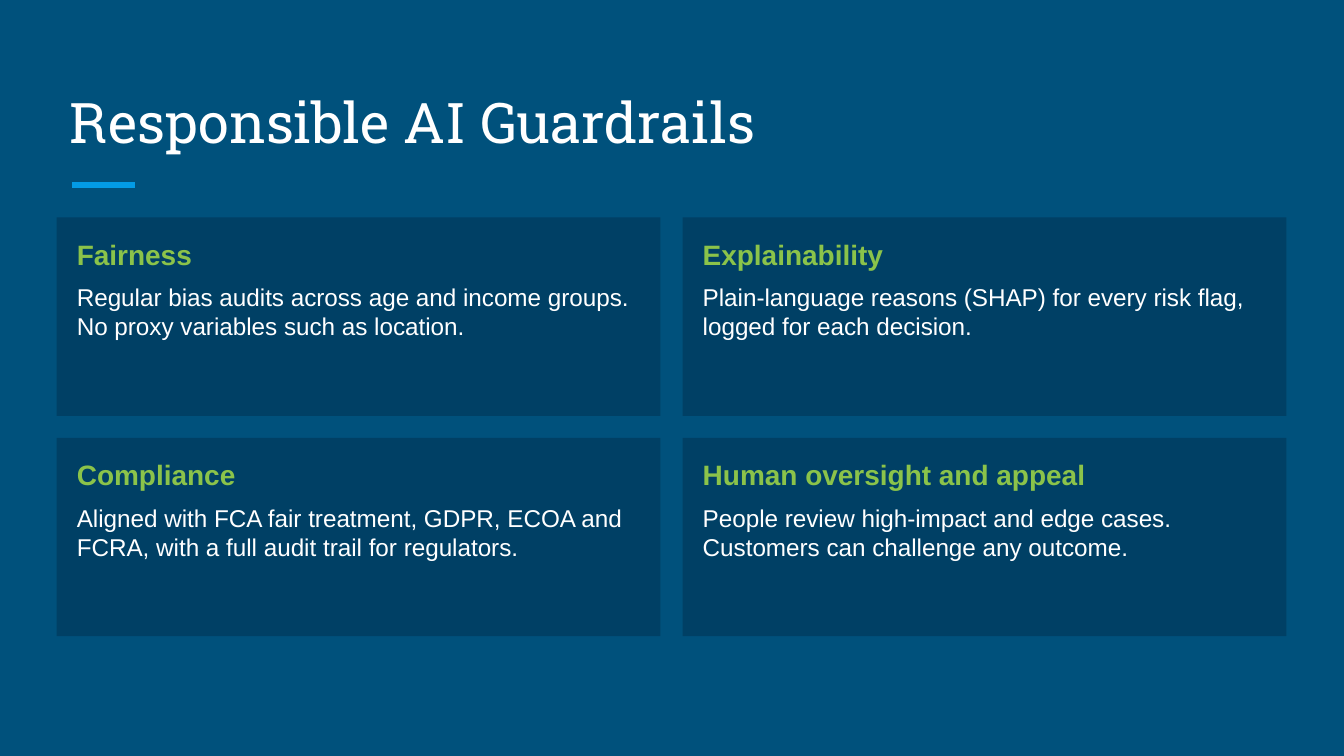
from pptx import Presentation
from pptx.dml.color import RGBColor
from pptx.enum.shapes import MSO_CONNECTOR, MSO_SHAPE
from pptx.enum.text import MSO_ANCHOR, PP_ALIGN
from pptx.oxml.ns import qn
from pptx.util import Pt
from lxml.etree import SubElement

TITLE = "Responsible AI Guardrails"
GUARDRAILS = [
    ("Fairness",
     "Regular bias audits across age and income groups. No proxy variables such as location."),
    ("Explainability",
     "Plain-language reasons (SHAP) for every risk flag, logged for each decision."),
    ("Compliance",
     "Aligned with FCA fair treatment, GDPR, ECOA and FCRA, with a full audit trail for regulators."),
    ("Human oversight and appeal",
     "People review high-impact and edge cases. Customers can challenge any outcome."),
]
COLORS = {
    "background": "00517C",
    "card": "004065",
    "accent": "039BE5",
    "heading": "8BC34A",
    "text": "FFFFFF",
}
COLUMNS = 2
LEFT, CARDS_TOP = 30.4, 116.5
CONTENT_WIDTH = 658.8
CARD_HEIGHT, GAP = 106.3, 11.8
CARD_WIDTH = (CONTENT_WIDTH - GAP * (COLUMNS - 1)) / COLUMNS


def color(name):
    return RGBColor.from_string(COLORS[name])


def set_up_frame(shape, inset, anchor):
    frame = shape.text_frame
    frame.word_wrap = True
    frame.vertical_anchor = anchor
    frame.margin_left = frame.margin_right = Pt(inset)
    frame.margin_top = frame.margin_bottom = Pt(inset)
    return frame


def write(paragraph, text, size, color_name, font="Arial", bold=False):
    paragraph.alignment = PP_ALIGN.LEFT
    run = paragraph.add_run()
    run.text = text
    run.font.name = font
    run.font.size = Pt(size)
    run.font.bold = bold
    run.font.color.rgb = color(color_name)


def add_title(slide):
    box = slide.shapes.add_textbox(Pt(LEFT), Pt(36), Pt(CONTENT_WIDTH), Pt(54))
    frame = set_up_frame(box, 7.2, MSO_ANCHOR.BOTTOM)
    write(frame.paragraphs[0], TITLE, 30, "text", font="Roboto Slab")


def add_accent_line(slide):
    line = slide.shapes.add_connector(
        MSO_CONNECTOR.STRAIGHT, Pt(38.6), Pt(99), Pt(72.3), Pt(99))
    line.line.color.rgb = color("accent")
    line.line.width = Pt(3)
    SubElement(line._element.spPr, qn("a:effectLst"))


def add_card(slide, index, heading, body):
    row, column = divmod(index, COLUMNS)
    card = slide.shapes.add_shape(
        MSO_SHAPE.RECTANGLE,
        Pt(LEFT + column * (CARD_WIDTH + GAP)),
        Pt(CARDS_TOP + row * (CARD_HEIGHT + GAP)),
        Pt(CARD_WIDTH), Pt(CARD_HEIGHT))
    card.shadow.inherit = False
    card.fill.solid()
    card.fill.fore_color.rgb = color("card")
    card.line.fill.background()
    frame = set_up_frame(card, 10.8, MSO_ANCHOR.TOP)
    frame.paragraphs[0].space_after = Pt(6)
    write(frame.paragraphs[0], heading, 15, "heading", bold=True)
    write(frame.add_paragraph(), body, 13, "text")


def main():
    presentation = Presentation()
    presentation.slide_width, presentation.slide_height = Pt(720), Pt(405)
    slide = presentation.slides.add_slide(presentation.slide_layouts[6])
    slide.background.fill.solid()
    slide.background.fill.fore_color.rgb = color("background")
    add_accent_line(slide)
    add_title(slide)
    for index, (heading, body) in enumerate(GUARDRAILS):
        add_card(slide, index, heading, body)
    presentation.save("out.pptx")


if __name__ == "__main__":
    main()
